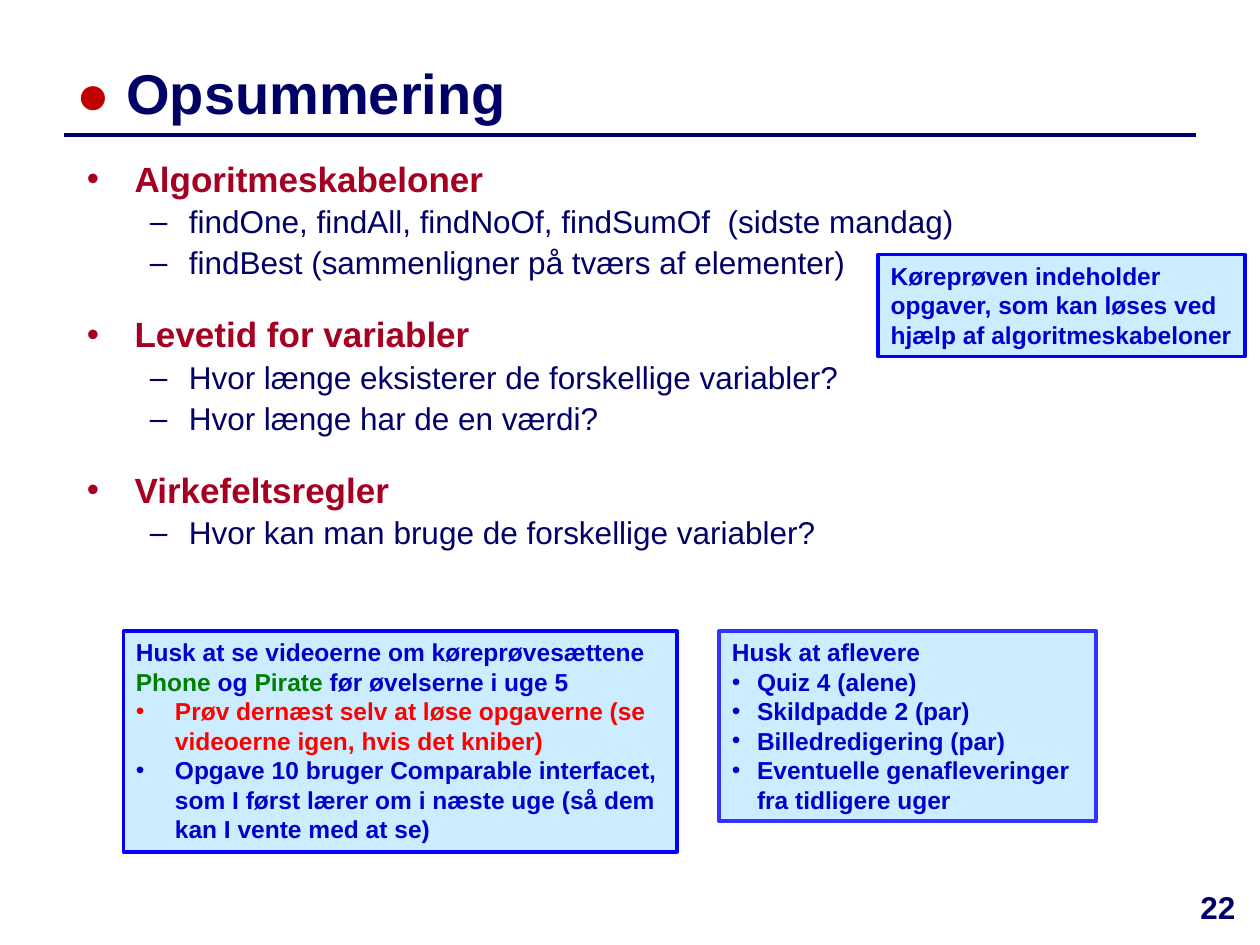
from lxml import etree
from pptx import Presentation
from pptx.dml.color import RGBColor
from pptx.enum.shapes import MSO_CONNECTOR as Conn, MSO_SHAPE as Shape
from pptx.enum.text import MSO_ANCHOR as Anchor, MSO_AUTO_SIZE as Fit, PP_ALIGN as Align
from pptx.oxml.ns import qn
from pptx.util import Inches, Pt

NAVY, RED, BLUE, GREEN = "000066", "A50021", "0000CC", "008000"

TOPICS = [
    ("Algoritmeskabeloner", [
        "findOne, findAll, findNoOf, findSumOf  (sidste mandag)",
        "findBest (sammenligner på tværs af elementer)"]),
    ("Levetid for variabler", [
        "Hvor længe eksisterer de forskellige variabler?",
        "Hvor længe har de en værdi?"]),
    ("Virkefeltsregler", ["Hvor kan man bruge de forskellige variabler?"]),
]
EXAM = [([("Køreprøven indeholder opgaver, som kan løses ved "
           "hjælp af algoritmeskabeloner", BLUE)], 0)]
VIDEOS = [
    ([("Husk at se videoerne om køreprøvesættene ", BLUE), ("Phone", GREEN),
      (" og ", BLUE), ("Pirate", GREEN), (" før øvelserne i uge 5", BLUE)], 0),
    ([("Prøv dernæst selv at løse opgaverne (se videoerne igen, "
       "hvis det kniber)", "FF0000")], 0.31),
    ([("Opgave 10 bruger Comparable interfacet, som I først lærer om i "
       "næste uge (så dem kan I vente med at se)", BLUE)], 0.31),
]
TASKS = [([("Husk at aflevere", BLUE)], 0)] + [
    ([(task, BLUE)], 0.2) for task in (
        "Quiz 4 (alene)", "Skildpadde 2 (par)", "Billedredigering (par)",
        "Eventuelle genafleveringer fra tidligere uger")]


def color(code):
    return RGBColor.from_string(code)


def style(font, size, code, bold=True):
    font.name, font.size, font.bold = "Arial", Pt(size), bold
    font.color.rgb = color(code)


def bullet(para, char, left, hang):
    props = para._p.get_or_add_pPr()
    props.set("marL", str(Inches(left)))
    props.set("indent", str(-Inches(hang)))
    etree.SubElement(props, qn("a:buFont")).set("typeface", "Arial")
    etree.SubElement(props, qn("a:buChar")).set("char", char)


def next_para(frame, index):
    return frame.add_paragraph() if index else frame.paragraphs[0]


def add_text(slide, box):
    frame = slide.shapes.add_textbox(*map(Inches, box)).text_frame
    frame.word_wrap = True
    return frame


def add_title(slide, box):
    left, top, width, height = box
    title = slide.shapes.title
    title.left, title.top, title.width, title.height = map(Inches, box)
    frame = title.text_frame
    frame.auto_size, frame.vertical_anchor = Fit.NONE, Anchor.MIDDLE
    para = frame.paragraphs[0]
    para.alignment = Align.LEFT
    style(para.font, 32, NAVY)
    for text, code in (("● ", "C00000"), ("Opsummering", NAVY)):
        run = para.add_run()
        run.text = text
        run.font.color.rgb = color(code)
    y = Inches(1.07)
    rule = slide.shapes.add_connector(
        Conn.STRAIGHT, Inches(left), y, Inches(left + width), y)
    rule.line.color.rgb, rule.line.width = color(NAVY), Pt(2)
    etree.SubElement(rule._element.spPr, qn("a:effectLst"))


def add_topics(slide, box):
    frame = add_text(slide, box)
    for index, (head, points) in enumerate(TOPICS):
        para = next_para(frame, index)
        para.text = head
        bullet(para, "•", 0.38, 0.38)
        para.space_before = Pt(18 if index else 0)
        style(para.font, 20, RED)
        for point in points:
            para = frame.add_paragraph()
            para.text, para.level = point, 1
            bullet(para, "–", 0.81, 0.31)
            para.line_spacing, para.space_before = 0.9, Pt(4)
            style(para.font, 18, NAVY, False)


def add_note(slide, box, paras, edge="0000FF"):
    note = slide.shapes.add_shape(Shape.RECTANGLE, *map(Inches, box))
    note.shadow.inherit = False
    note.fill.solid()
    note.fill.fore_color.rgb = color("CCECFF")
    note.line.color.rgb, note.line.width = color(edge), Pt(2.25)
    frame = note.text_frame
    frame.word_wrap, frame.vertical_anchor = True, Anchor.TOP
    frame.auto_size = Fit.SHAPE_TO_FIT_TEXT
    for index, (runs, hang) in enumerate(paras):
        para = next_para(frame, index)
        para.alignment = Align.LEFT
        if hang:
            bullet(para, "•", hang, hang)
        style(para.font, 14, runs[0][1])
        for text, code in runs:
            run = para.add_run()
            run.text = text
            run.font.color.rgb = color(code)


def add_number(slide, box):
    para = add_text(slide, box).paragraphs[0]
    para.text, para.alignment = "22", Align.CENTER
    style(para.font, 18, NAVY)


def main():
    deck = Presentation()
    deck.slide_width, deck.slide_height = Inches(10), Inches(7.5)
    slide = deck.slides.add_slide(deck.slide_layouts[5])
    add_title(slide, (0.51, 0.36, 8.98, 0.75))
    add_number(slide, (9.31, 7, 0.71, 0.5))
    add_topics(slide, (0.59, 1.2, 7.72, 3.58))
    add_note(slide, (6.97, 2.02, 2.91, 0.81), EXAM)
    add_note(slide, (0.98, 5.01, 4.39, 1.75), VIDEOS)
    add_note(slide, (5.71, 5.01, 2.99, 1.51), TASKS, "3333FF")
    deck.save("out.pptx")


if __name__ == "__main__":
    main()
